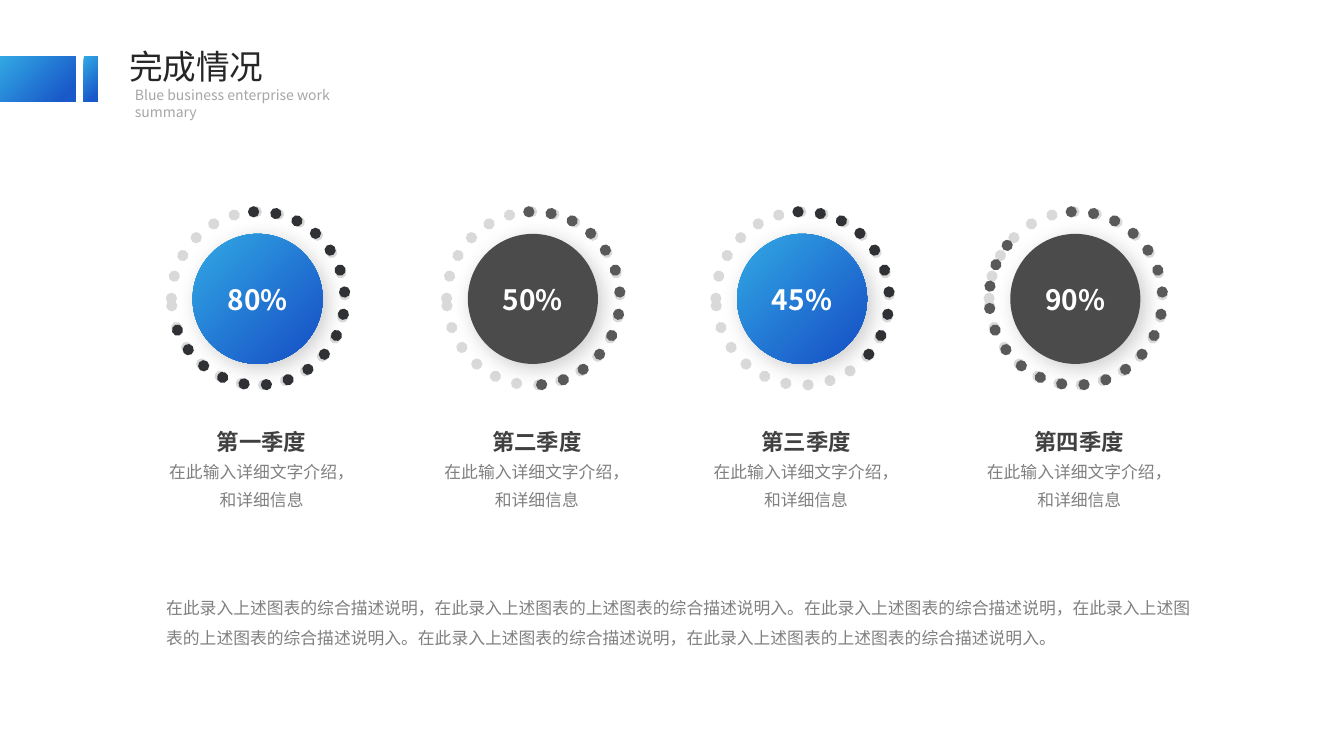
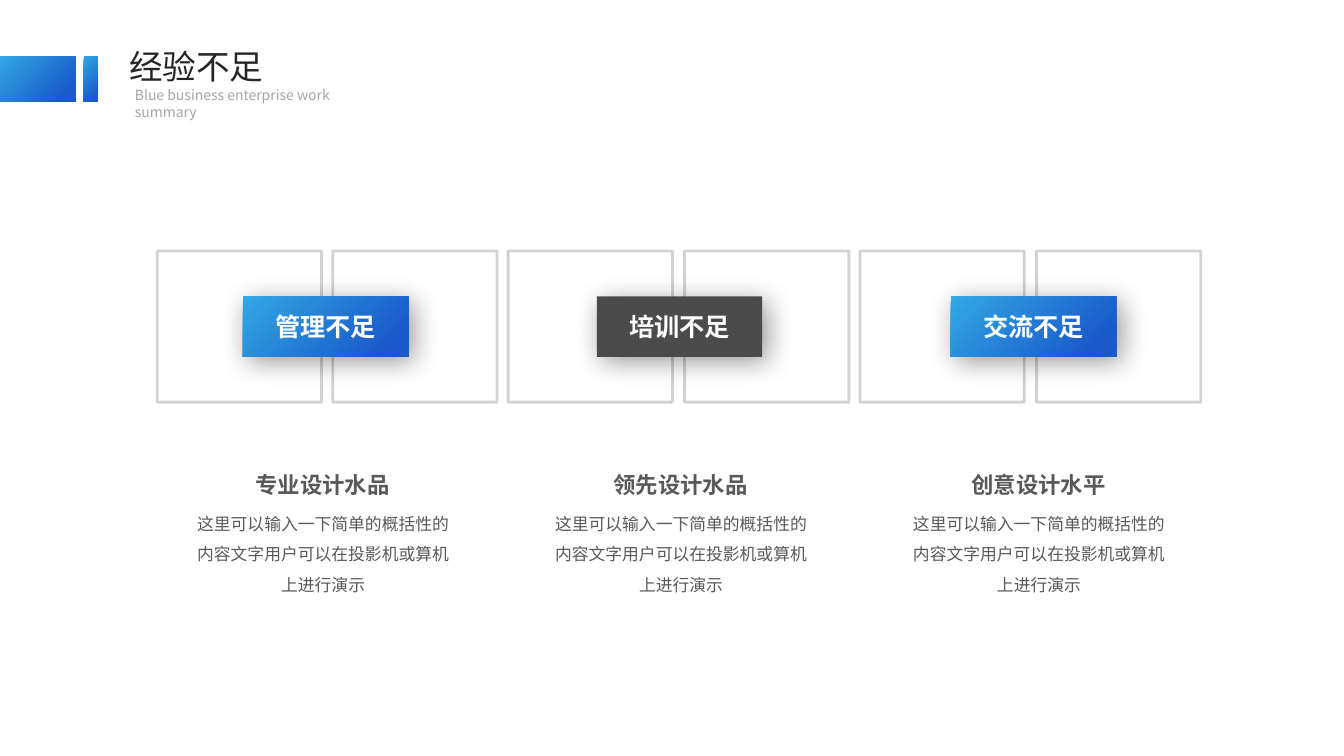
from lxml import etree
from pptx import Presentation
from pptx.dml.color import RGBColor
from pptx.enum.dml import MSO_LINE
from pptx.enum.shapes import MSO_SHAPE
from pptx.enum.text import MSO_ANCHOR, MSO_AUTO_SIZE, PP_ALIGN
from pptx.oxml.ns import qn
from pptx.util import Pt

PX = 9144  # 100 px to the inch
SANS = "Noto Sans CJK SC"
CONDENSED = "Roboto Condensed"
LEFT, CENTER = PP_ALIGN.LEFT, PP_ALIGN.CENTER
TOP, MIDDLE = MSO_ANCHOR.TOP, MSO_ANCHOR.MIDDLE
RECTANGLE, OVAL, ARC = MSO_SHAPE.RECTANGLE, MSO_SHAPE.OVAL, MSO_SHAPE.ARC
SOLID, DOTS = MSO_LINE.SOLID, MSO_LINE.ROUND_DOT
TEXT_BOX = None

COLORS = {
    "sky": "32A8E4",
    "blue": "1959C9",
    "charcoal": "4B4B4B",
    "track": "D9D9D9",
    "dark_arc": "303135",
    "gray_arc": "595959",
    "frame": "A6A6A6",
    "shadow": "000000",
    "white": "FFFFFF",
    "title": "262626",
    "subtitle": "A6A6A6",
    "quarter": "404040",
    "detail": "808080",
    "body": "595959",
}

# Each style: colour, font values, paragraph values
STYLES = {
    "title": ("title", {"size": Pt(24), "bold": False}, {"alignment": LEFT}),
    "subtitle": ("subtitle", {"size": Pt(10)}, {}),
    "percent": ("white", {"size": Pt(20), "bold": True}, {"alignment": CENTER}),
    "badge": ("white", {"size": Pt(18), "bold": True}, {"alignment": CENTER}),
    "quarter": ("quarter", {"size": Pt(16), "bold": True}, {"alignment": CENTER}),
    "detail": ("detail", {"size": Pt(12), "name": CONDENSED},
               {"alignment": CENTER, "space_before": Pt(5)}),
    "summary": ("detail", {"size": Pt(12)}, {"line_spacing": 1.5}),
    "heading": ("body", {"size": Pt(16), "bold": True},
                {"alignment": CENTER, "line_spacing": Pt(16)}),
    "body": ("body", {"size": Pt(12)}, {"alignment": CENTER, "line_spacing": 1.5}),
}


def draw(slide, kind, bounds, fill=None, line=None, shadow=None):
    """Add a shape; fill is a colour or "gradient", line is (colour, points,
    dash, opacity), shadow is (opacity, blur in points)."""
    bounds = [value * PX for value in bounds]
    if kind is TEXT_BOX:
        return slide.shapes.add_textbox(*bounds)
    shape = slide.shapes.add_shape(kind, *bounds)
    shape.shadow.inherit = False
    properties = shape._element.spPr

    if fill == "gradient":
        shape.fill.gradient()
        shape.fill.gradient_angle = 315
        stops = (("sky", 0), ("blue", 0.87))
        for stop, (color, position) in zip(shape.fill.gradient_stops, stops):
            stop.color.rgb = RGBColor.from_string(COLORS[color])
            stop.position = position
    elif fill:
        shape.fill.solid()
        shape.fill.fore_color.rgb = RGBColor.from_string(COLORS[fill])
    else:
        shape.fill.background()

    if line:
        color, points, dash, opacity = line
        shape.line.color.rgb = RGBColor.from_string(COLORS[color])
        shape.line.width = Pt(points)
        shape.line.dash_style = dash
        outline = properties.find(qn("a:ln"))
        if dash == DOTS:
            outline.set("cap", "rnd")
        if opacity < 100:
            etree.SubElement(outline.find(".//" + qn("a:srgbClr")), qn("a:alpha"),
                             val=str(opacity * 1000))
    else:
        shape.line.fill.background()

    if shadow:
        opacity, blur = shadow
        outer = etree.SubElement(
            properties.find(qn("a:effectLst")), qn("a:outerShdw"), blurRad=str(Pt(blur)),
            dist=str(Pt(5)), dir=str(45 * 60000), algn="tl", rotWithShape="0")
        color = etree.SubElement(outer, qn("a:srgbClr"), val=COLORS["shadow"])
        etree.SubElement(color, qn("a:alpha"), val=str(opacity * 1000))
    return shape


def write(shape, lines, wrap=True, anchor=TOP):
    """Fill a shape with one paragraph for each (text, style name)."""
    frame = shape.text_frame
    frame.word_wrap = wrap
    frame.vertical_anchor = anchor
    for index, (text, style) in enumerate(lines):
        paragraph = frame.add_paragraph() if index else frame.paragraphs[0]
        color, font_values, paragraph_values = STYLES[style]
        for name, value in paragraph_values.items():
            setattr(paragraph, name, value)
        run = paragraph.add_run()
        run.text = text
        for name, value in {"name": SANS, **font_values}.items():
            setattr(run.font, name, value)
        run.font.color.rgb = RGBColor.from_string(COLORS[color])
        etree.SubElement(run._r.get_or_add_rPr(), qn("a:ea"), typeface=SANS)


presentation = Presentation()
presentation.slide_width = 1333 * PX
presentation.slide_height = 750 * PX
title_only = presentation.slide_layouts[5]

# Shared header
slides = []
for title_text in ("完成情况", "经验不足"):
    slide = presentation.slides.add_slide(title_only)
    for left, width in ((0, 75), (83, 14)):
        draw(slide, RECTANGLE, (left, 56, width, 45), "gradient")
    title = slide.shapes.title
    for name, value in {"left": 118, "top": 41, "width": 155, "height": 50}.items():
        setattr(title, name, value * PX)
    title.text_frame.auto_size = MSO_AUTO_SIZE.NONE
    write(title, [(title_text, "title")], wrap=False)
    subtitle = draw(slide, TEXT_BOX, (124, 81, 277, 27))
    write(subtitle, [("Blue business enterprise work summary", "subtitle")], wrap=False)
    slides.append(slide)
completion, shortcomings = slides

# Progress rings: left edge, quarter, percentage, end angle of the arc
RING, DISC = 172, 129
quarters = (
    (170, "第一季度", "80%", 163.88),
    (443, "第二季度", "50%", 96.48),
    (710, "第三季度", "45%", 52.21),
    (981, "第四季度", "90%", 221.43),
)
for index, (left, quarter, percent, end_angle) in enumerate(quarters):
    fill, arc_color = (("gradient", "dark_arc"), ("charcoal", "gray_arc"))[index % 2]
    ring = (left, 210, RING, RING)
    inset = (RING - DISC) // 2
    draw(completion, OVAL, ring, line=("track", 8, DOTS, 100))
    disc = draw(completion, OVAL, (left + inset, 211 + inset, DISC, DISC), fill,
                shadow=(20, 15))
    write(disc, [(percent, "percent")], anchor=MIDDLE)
    arc = draw(completion, ARC, ring, line=(arc_color, 8, DOTS, 100))
    for number, angle in enumerate((266.97, end_angle)):
        arc.adjustments[number] = angle * 0.6
    label = draw(completion, TEXT_BOX, (left - 13, 420, 205, 91))
    write(label, [(quarter, "quarter"), ("在此输入详细文字介绍，", "detail"),
                  ("和详细信息", "detail")], wrap=False)

summary = draw(completion, TEXT_BOX, (155, 578, 1043, 71))
write(summary, [(
    "在此录入上述图表的综合描述说明，在此录入上述图表的上述图表的综合描述说明入。"
    "在此录入上述图表的综合描述说明，在此录入上述图表的上述图表的综合描述说明入。"
    "在此录入上述图表的综合描述说明，在此录入上述图表的上述图表的综合描述说明入。",
    "summary")])

# Shortcomings: a row of frames with a badge over each pair
for index in range(6):
    draw(shortcomings, RECTANGLE, (156 + index * 872 // 5, 249, 163, 150),
         line=("frame", 2, SOLID, 50))

topics = (
    ("管理不足", "专业设计水品", "gradient"),
    ("培训不足", "领先设计水品", "charcoal"),
    ("交流不足", "创意设计水平", "gradient"),
)
for index, (badge_text, heading_text, fill) in enumerate(topics):
    badge = draw(shortcomings, RECTANGLE, (241 + 351 * index, 294, 164, 60), fill,
                 shadow=(40, 20))
    write(badge, [(badge_text, "badge")], anchor=MIDDLE)
    heading = draw(shortcomings, TEXT_BOX, (214 + 355 * index, 467, 212, 33))
    write(heading, [(heading_text, "heading")])
    body = draw(shortcomings, TEXT_BOX, (185 + 355 * index, 495, 271, 97))
    write(body, [("这里可以输入一下简单的概括性的内容文字用户可以在投影机或算机上进行演示",
                  "body")])

presentation.save("out.pptx")
